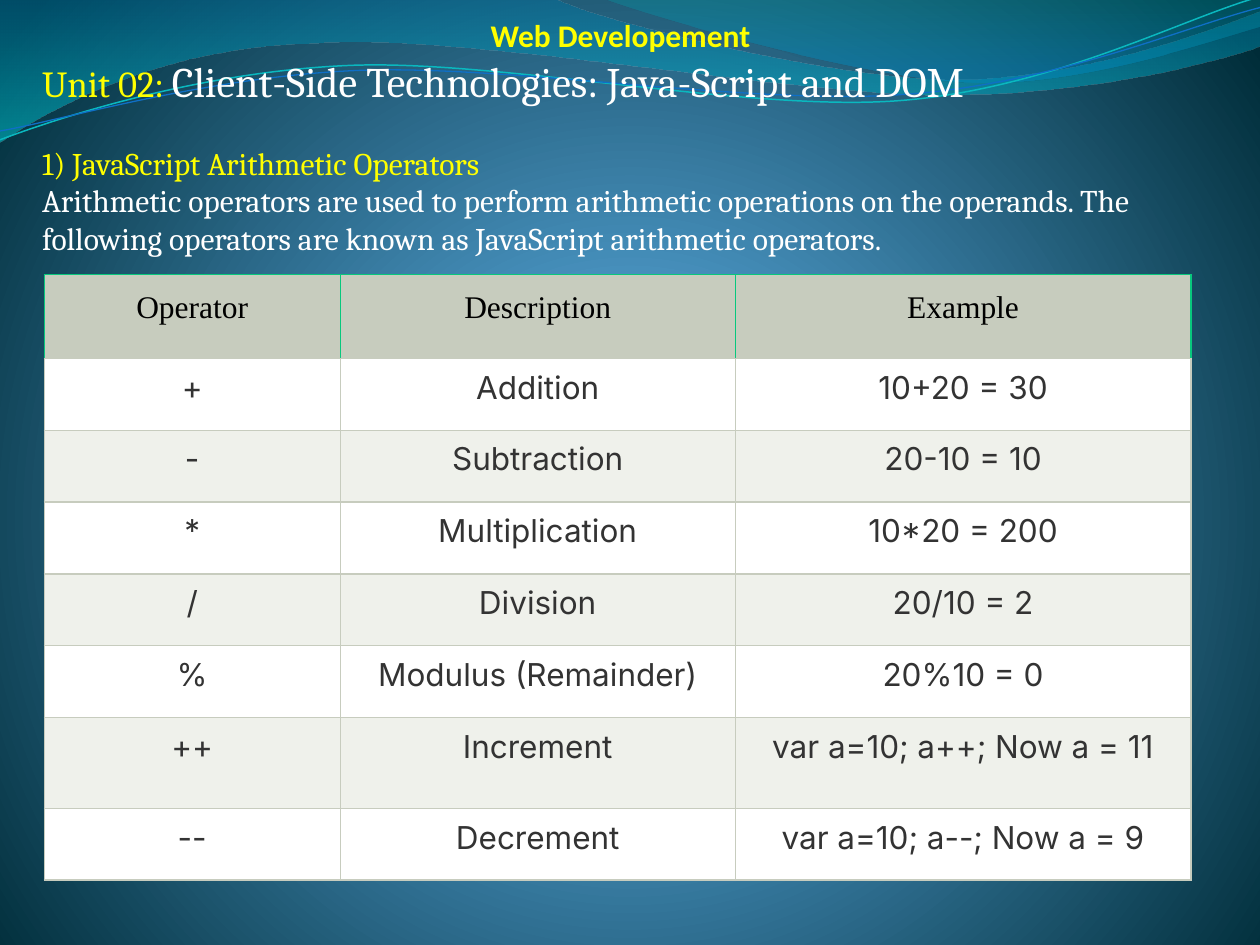
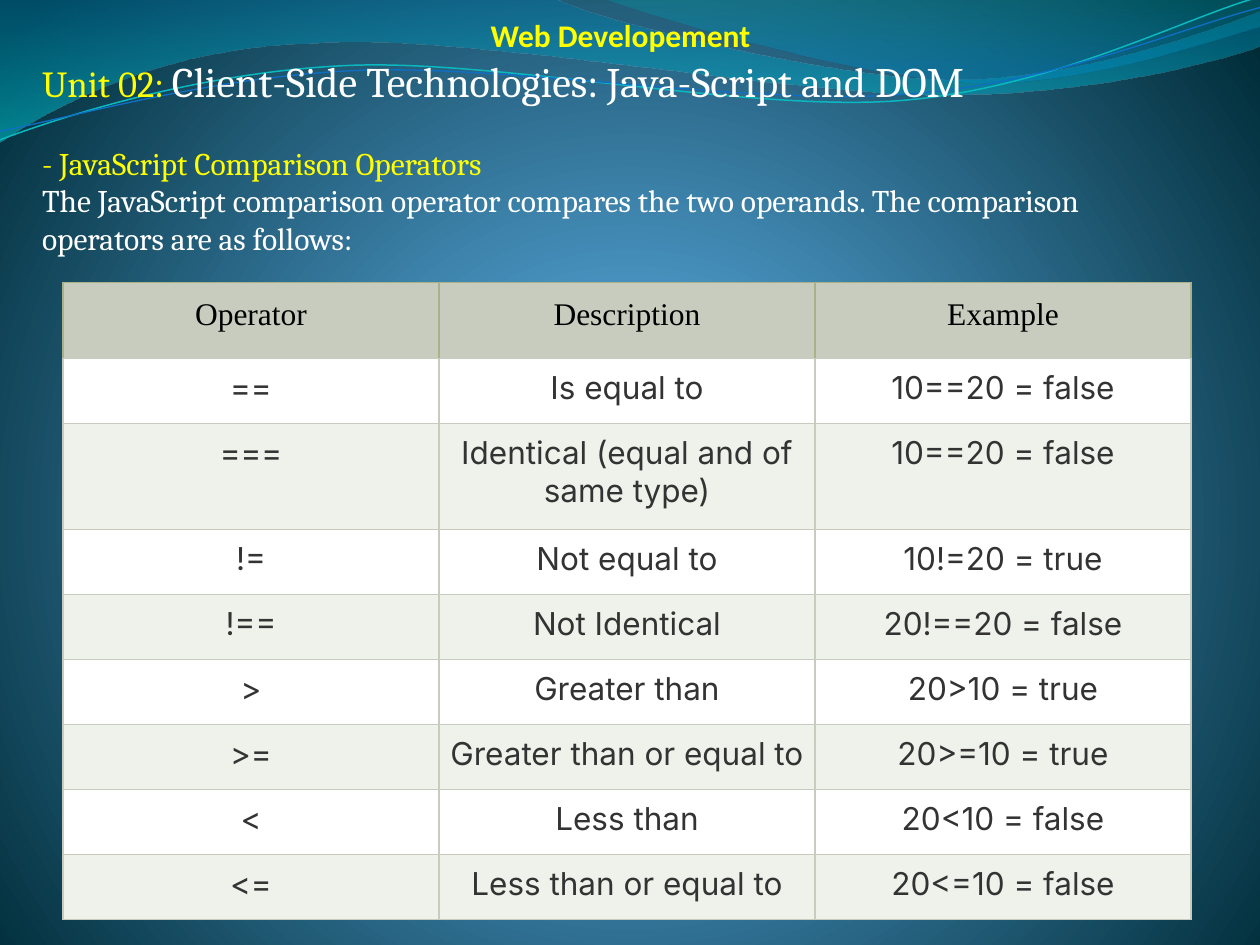
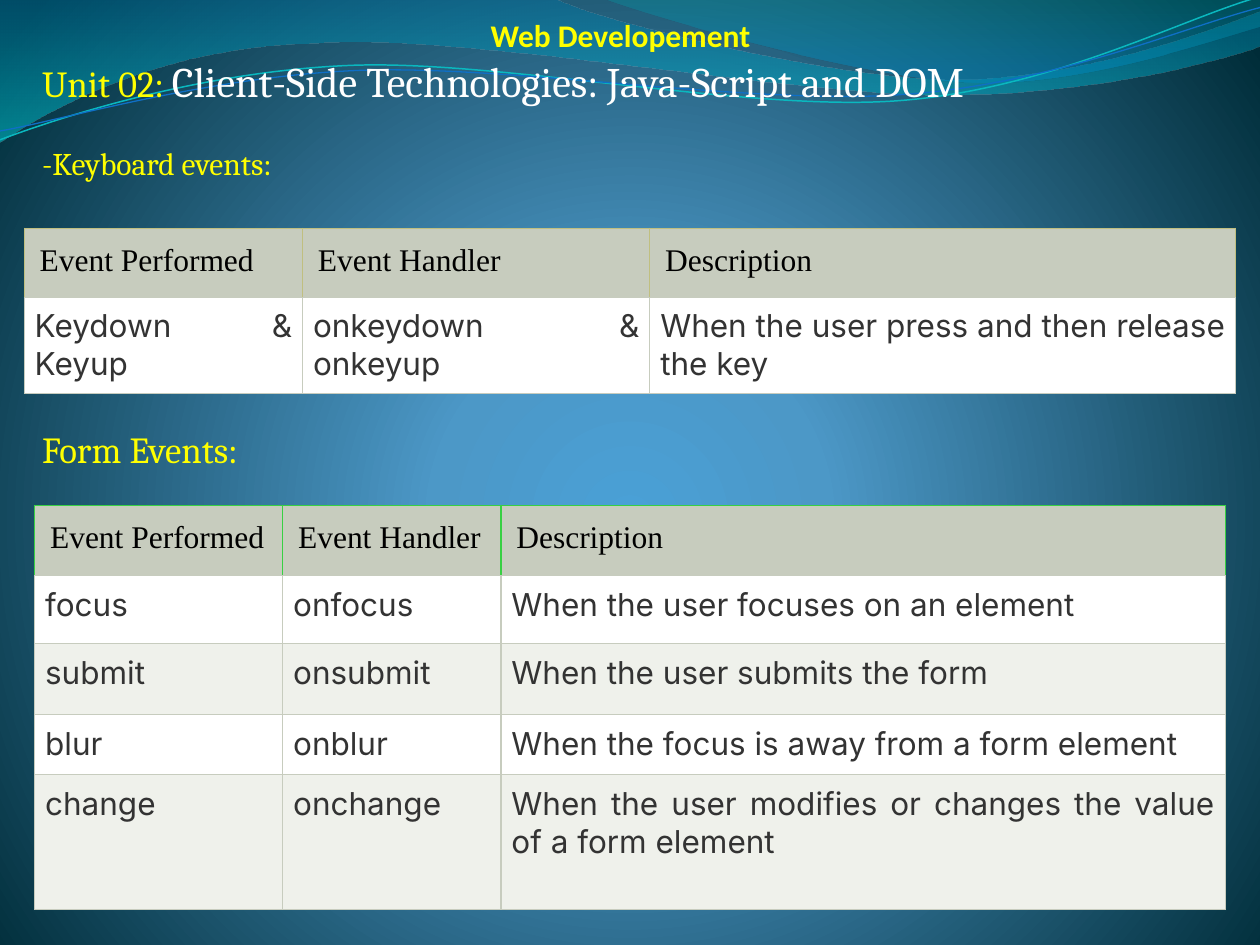
from dataclasses import dataclass

from pptx import Presentation
from pptx.dml.color import RGBColor as RGB
from pptx.enum.text import PP_ALIGN as Align
from pptx.oxml import parse_xml
from pptx.oxml.ns import nsdecls, qn
from pptx.util import Cm, Pt


@dataclass(frozen=True)
class Theme:
    yellow: str = "FFFF00"
    white: str = "FFFFFF"
    black: str = "000000"
    body: str = "333333"
    header_fill: str = "C7CCBE"
    stripe: str = "EFF1EB"
    cyan_line: str = "0AB8BF"
    blue_line: str = "0F6FC6"
    # Gradient stops: position, colour, opacity, all but colour in percent
    backdrop: tuple = ((0, "4AA0D6", 100), (25, "4C98C7", 100), (100, "002C38", 100))
    wide_wave: tuple = ((0, "0074A1", 45), (100, "00C6CF", 55))
    right_wave: tuple = ((0, "00A1A9", 30), (80, "008BBF", 45))
    course_font: str = "Calibri"
    text_font: str = "Cambria"
    header_font: str = "Times New Roman"
    cell_font: str = "Inter"
    normal: int = 18
    medium: int = 21
    large: int = 24
    blank_line: float = 21.7
    border: float = 0.75


@dataclass(frozen=True)
class Box:
    left: int
    top: int
    width: int
    height: int


THEME = Theme()
PAGE = Box(Cm(0), Cm(0), Cm(25.4), Cm(19.05))
COURSE_BOX = Box(Cm(4.57), Cm(0.2), Cm(15.88), Cm(1.02))
INTRO_BOX = Box(Cm(0.6), Cm(0.99), Cm(23.42), Cm(7.57))

# Outlines on a grid of ten units to the page width: a pair is a straight
# step, six numbers are a curve (two handles and an end point)
WIDE_WAVE = [
    (0, 0), (4.4, -0.01),
    (4.76, 0.17, 6.64, 0.63, 7.58, 0.63), (8.53, 0.63, 9.58, 0.26, 10, 0.09),
    (10.01, 0.36),
    (9.83, 0.44, 8.7, 0.76, 7.46, 0.75), (6.22, 0.75, 3.82, 0.28, 2.57, 0.34),
    (1.29, 0.36, 0.46, 0.83, -0.01, 1.13),
]
RIGHT_WAVE = [
    (4.79, -0.01),
    (5.09, 0.11, 6.82, 0.62, 7.69, 0.65), (8.56, 0.69, 9.61, 0.32, 10, 0.21),
    (10, 0),
]
CYAN_STRAND = [
    (0, 1.11),
    (0.48, 0.93, 1.58, 0.57, 2.77, 0.52), (3.95, 0.47, 5.93, 0.89, 7.13, 0.8),
    (8.33, 0.71, 9.38, 0.15, 9.98, -0.02),
]
BLUE_STRAND = [
    (0, 1.04),
    (0.47, 0.96, 1.64, 0.61, 2.83, 0.56), (4.03, 0.51, 5.97, 0.84, 7.17, 0.75),
    (8.36, 0.67, 9.41, 0.21, 10, 0.06),
]


def set_gradient(fill, owner, stops, direction):
    """Give a fill its stops and a linear or path direction."""
    fill.gradient()
    stop_xml = "".join(
        f'<a:gs pos="{pos * 1000}"><a:srgbClr val="{colour}">'
        f'<a:alpha val="{opacity * 1000}"/></a:srgbClr></a:gs>'
        for pos, colour, opacity in stops)
    gradient = parse_xml(f'<a:gradFill {nsdecls("a")} rotWithShape="1">'
                         f"<a:gsLst>{stop_xml}</a:gsLst>{direction}</a:gradFill>")
    default = next(owner.iter(qn("a:gradFill")))
    default.getparent().replace(default, gradient)


def paint_backdrop(master):
    set_gradient(master.background.fill, master.element, THEME.backdrop,
                 '<a:path path="circle"><a:fillToRect l="10000" t="110000" '
                 'r="10000" b="100000"/></a:path>')


def draw_outline(slide, box, outline, closed):
    """Draw the end points, then bend the steps that have handles."""
    unit = box.width / 10

    def place(x, y):
        return round(box.left + x * unit), round(box.top + y * unit)

    ends = [place(*step[-2:]) for step in outline]
    builder = slide.shapes.build_freeform(*ends[0])
    builder.add_line_segments(ends[1:], close=closed)
    shape = builder.convert_to_shape()
    shape.shadow.inherit = False
    for line, step in zip(list(shape.element.iter(qn("a:lnTo"))), outline[1:]):
        if len(step) == 6:
            points = [place(*step[i:i + 2]) for i in (0, 2, 4)]
            point_xml = "".join(f'<a:pt x="{x - shape.left}" y="{y - shape.top}"/>'
                                for x, y in points)
            line.getparent().replace(line, parse_xml(
                f'<a:cubicBezTo {nsdecls("a")}>{point_xml}</a:cubicBezTo>'))
    return shape


def add_waves(slide, box):
    # Translucent bands
    for outline, stops in ((WIDE_WAVE, THEME.wide_wave), (RIGHT_WAVE, THEME.right_wave)):
        band = draw_outline(slide, box, outline, closed=True)
        set_gradient(band.fill, band.element, stops, '<a:lin ang="5400000" scaled="0"/>')
        band.line.fill.background()
    # Thin strands
    for outline, colour, weight in ((CYAN_STRAND, THEME.cyan_line, 0.85),
                                    (BLUE_STRAND, THEME.blue_line, 0.75)):
        strand = draw_outline(slide, box, outline, closed=False)
        strand.fill.background()
        strand.line.color.rgb = RGB.from_string(colour)
        strand.line.width = Pt(weight)


def add_run(paragraph, words, size, colour, font, bold=False):
    run = paragraph.add_run()
    run.text = words
    run.font.size = Pt(size)
    run.font.name = font
    run.font.bold = bold
    run.font.color.rgb = RGB.from_string(colour)


def add_text_frame(slide, box):
    frame = slide.shapes.add_textbox(box.left, box.top, box.width, box.height).text_frame
    frame.word_wrap = True
    return frame


def add_course_name(slide, box):
    line = add_text_frame(slide, box).paragraphs[0]
    line.alignment = Align.CENTER
    add_run(line, "Web Developement", THEME.normal, THEME.yellow, THEME.course_font, True)


def add_intro(slide, box, lines):
    """Unit title, then lines of (words, size, colour, space before)."""
    frame = add_text_frame(slide, box)
    unit = frame.paragraphs[0]
    add_run(unit, "Unit 02: ", THEME.medium, THEME.yellow, THEME.text_font)
    add_run(unit, "Client-Side Technologies: Java-Script and DOM",
            THEME.large, THEME.white, THEME.text_font)
    for words, size, colour, gap in lines:
        line = frame.add_paragraph()
        line.space_before = Pt(gap)
        add_run(line, words, size, colour, THEME.text_font)


def set_borders(cell, edge_colour):
    """Colour all sides but the bottom, which keeps the grid colour."""
    properties = cell._tc.get_or_add_tcPr()
    for side in "LRTB":
        colour = THEME.header_fill if side == "B" else edge_colour
        properties.append(parse_xml(
            f'<a:ln{side} {nsdecls("a")} w="{Pt(THEME.border)}"><a:solidFill>'
            f'<a:srgbClr val="{colour}"/></a:solidFill></a:ln{side}>'))


def fill_cell(cell, words, fill, edge, margin, align, colour, font):
    set_borders(cell, edge)
    cell.fill.solid()
    cell.fill.fore_color.rgb = RGB.from_string(fill)
    cell.margin_left = cell.margin_right = margin
    cell.margin_top = cell.margin_bottom = margin
    line = cell.text_frame.paragraphs[0]
    line.alignment = align
    add_run(line, words, THEME.normal, colour, font)


def add_grid(slide, left, top, widths, heights, rows, header_edge, centred=True):
    """Table with a grey header and striped rows; sizes are in centimetres."""
    grid = slide.shapes.add_table(len(rows), len(widths), Cm(left), Cm(top),
                                  Cm(sum(widths)), Cm(sum(heights))).table
    grid.first_row = grid.horz_banding = False
    for column, width in zip(grid.columns, widths):
        column.width = Cm(width)
    for r, (height, row) in enumerate(zip(heights, rows)):
        grid.rows[r].height = Cm(height)
        if r == 0:
            look = (THEME.header_fill, header_edge, Cm(0.31),
                    Align.CENTER if centred else Align.LEFT,
                    THEME.black, THEME.header_font)
        else:
            look = (THEME.white if r % 2 else THEME.stripe, THEME.header_fill, Cm(0.21),
                    Align.CENTER if centred else Align.JUSTIFY,
                    THEME.body, THEME.cell_font)
        for c, words in enumerate(row):
            fill_cell(grid.cell(r, c), words, *look)


def add_base_slide(deck, lines):
    slide = deck.slides.add_slide(deck.slide_layouts[6])
    add_waves(slide, PAGE)
    add_course_name(slide, COURSE_BOX)
    add_intro(slide, INTRO_BOX, lines)
    return slide


def topic_lines(topic, explanation):
    return [(topic, THEME.normal, THEME.yellow, THEME.blank_line),
            (explanation, THEME.normal, THEME.white, 0)]


OPERATOR_HEADER = ("Operator", "Description", "Example")
EVENT_HEADER = ("Event Performed", "Event Handler", "Description")


def build_arithmetic(deck):
    slide = add_base_slide(deck, topic_lines(
        "1) JavaScript Arithmetic Operators",
        "Arithmetic operators are used to perform arithmetic operations on the operands. "
        "The following operators are known as JavaScript arithmetic operators."))
    add_grid(slide, 0.89, 5.54, [5.97, 7.96, 9.19], [1.68] + [1.45] * 5 + [1.83, 1.44], [
        OPERATOR_HEADER,
        ("+", "Addition", "10+20 = 30"),
        ("-", "Subtraction", "20-10 = 10"),
        ("*", "Multiplication", "10*20 = 200"),
        ("/", "Division", "20/10 = 2"),
        ("%", "Modulus (Remainder)", "20%10 = 0"),
        ("++", "Increment", "var a=10; a++; Now a = 11"),
        ("--", "Decrement", "var a=10; a--; Now a = 9"),
    ], header_edge="08C87D")


def build_comparison(deck):
    slide = add_base_slide(deck, topic_lines(
        "- JavaScript Comparison Operators",
        "The JavaScript comparison operator compares the two operands. "
        "The comparison operators are as follows:"))
    add_grid(slide, 1.27, 5.69, [7.58] * 3, [1.53, 1.31, 2.15] + [1.31] * 6, [
        OPERATOR_HEADER,
        ("==", "Is equal to", "10==20 = false"),
        ("===", "Identical (equal and of same type)", "10==20 = false"),
        ("!=", "Not equal to", "10!=20 = true"),
        ("!==", "Not Identical", "20!==20 = false"),
        (">", "Greater than", "20>10 = true"),
        (">=", "Greater than or equal to", "20>=10 = true"),
        ("<", "Less than", "20<10 = false"),
        ("<=", "Less than or equal to", "20<=10 = false"),
    ], header_edge="A8B286")


def build_events(deck):
    slide = add_base_slide(deck, [
        ("-Keyboard events:", THEME.normal, THEME.yellow, THEME.blank_line),
        ("Form Events:", THEME.medium, THEME.yellow, 140.4),
    ])
    # Keyboard events
    add_grid(slide, 0.49, 4.6, [5.61, 7, 11.81], [1.39, 1.93], [
        EVENT_HEADER,
        ("Keydown & Keyup", "onkeydown & onkeyup",
         "When the user press and then release the key"),
    ], header_edge="C0BF80", centred=False)
    # Form events
    add_grid(slide, 0.7, 10.19, [5, 4.4, 14.6], [1.41, 1.37, 1.43, 1.21, 2.72], [
        EVENT_HEADER,
        ("focus", "onfocus", "When the user focuses on an element"),
        ("submit", "onsubmit", "When the user submits the form"),
        ("blur", "onblur", "When the focus is away from a form element"),
        ("change", "onchange",
         "When the user modifies or changes the value of a form element"),
    ], header_edge="38D043", centred=False)


def main():
    deck = Presentation()
    deck.slide_width, deck.slide_height = PAGE.width, PAGE.height
    paint_backdrop(deck.slide_master)
    for build in (build_arithmetic, build_comparison, build_events):
        build(deck)
    deck.save("out.pptx")


if __name__ == "__main__":
    main()
